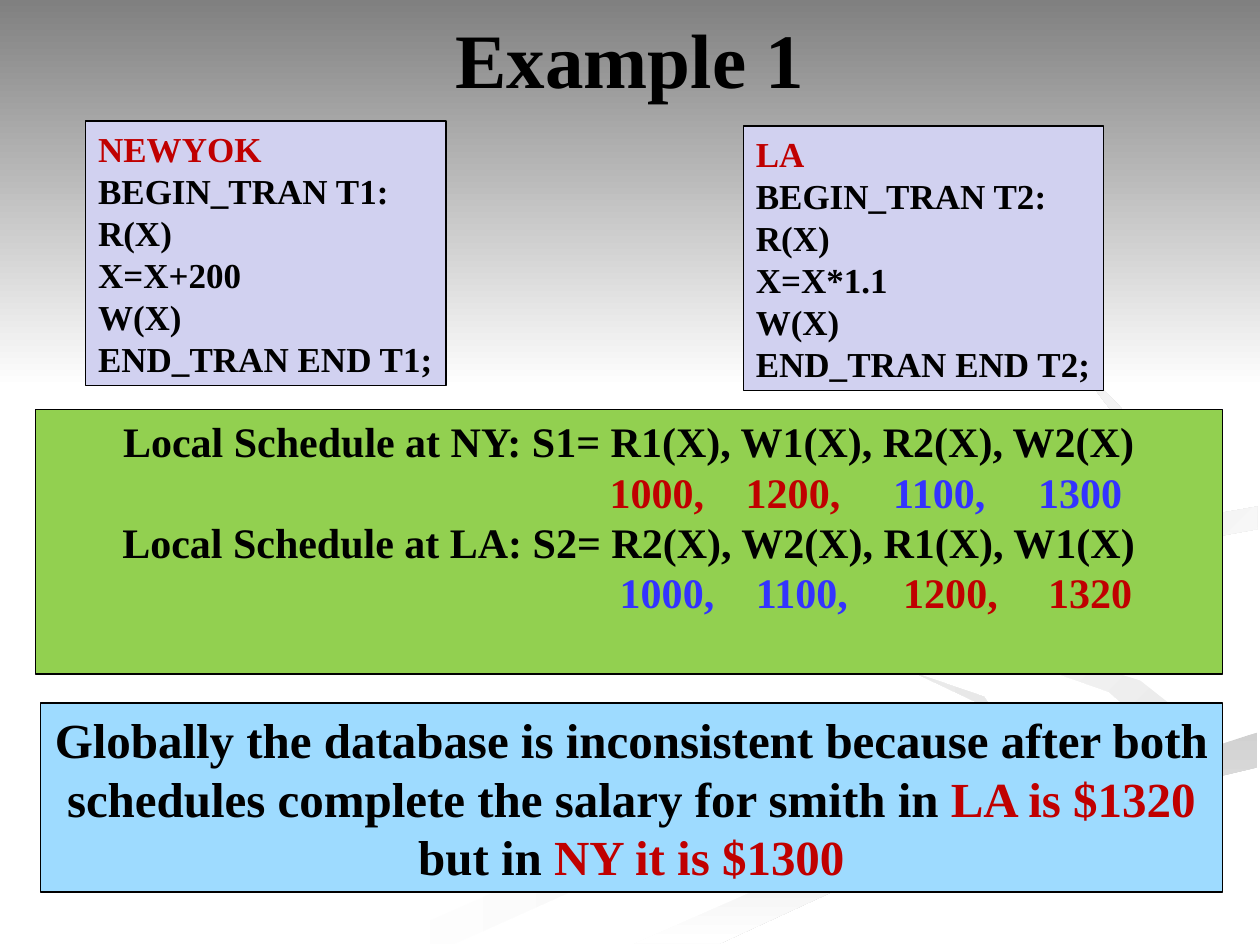
from lxml import etree
from pptx import Presentation
from pptx.dml.color import RGBColor
from pptx.enum import shapes, text
from pptx.oxml.ns import qn
from pptx.util import Inches, Pt

HUES = {"black": "000000", "red": "C00000", "blue": "3333FF", "white": "FFFFFF",
        "lilac": "D1D1F0", "green": "92D050", "sky": "9EDBFF", "gray": "808080",
        "mist": "E8E8E8", "ash": "D1D1D1", "fog": "E0E0E0", "haze": "D8D8D8"}
MID, LEFT = text.PP_ALIGN.CENTER, text.PP_ALIGN.LEFT

# Grid of 1000 columns by 750 rows
deck = Presentation()
deck.slide_width, deck.slide_height = Inches(10), Inches(7.5)
cell = deck.slide_width // 1000
slide = deck.slides.add_slide(deck.slide_layouts[6])


def paint(shape, tints, angle=0):
    shape.shadow.inherit = False
    if len(tints) == 1:
        shape.fill.solid()
        shape.fill.fore_color.rgb = RGBColor.from_string(HUES[tints[0]])
        return
    shape.fill.gradient()
    shape.fill.gradient_angle = -angle % 360
    for stop, tint in zip(shape.fill.gradient_stops, tints):
        stop.color.rgb = RGBColor.from_string(HUES[tint])


def write(shape, rows, size, align, anchor, wrap=True):
    frame = shape.text_frame
    frame.word_wrap, frame.vertical_anchor = wrap, anchor
    look = {"size": Pt(size), "bold": True, "name": "Times New Roman"}
    for i, row in enumerate(rows):
        para = frame.paragraphs[0] if i == 0 else frame.add_paragraph()
        para.alignment = align
        for words, hue in row:
            run = para.add_run()
            run.text = words
            for key, value in look.items():
                setattr(run.font, key, value)
            run.font.color.rgb = RGBColor.from_string(HUES[hue])


# Background ribbons: tints, gradient angle, outline
ribbons = [
    (("white", "mist"), 0, [
        (781, 553), (682, 519), (575, 459), (593, 491), (728, 535), (785, 562),
        (727, 602), (499, 661), (300, 749), (361, 749), (499, 687), (780, 605),
        (800, 581)]),
    (("white", "mist"), 45, [
        (943, 570), (905, 540), (758, 498), (724, 464), (755, 505), (880, 549),
        (917, 581), (894, 605), (941, 581)]),
    (("ash", "white"), 90, [
        (503, 749), (571, 749), (695, 692), (821, 651), (998, 609), (998, 581),
        (936, 602), (764, 647), (630, 693)]),
    (("white",), 0, [
        (725, 464), (745, 490), (905, 540), (943, 570), (902, 603), (663, 668),
        (477, 749), (503, 749), (630, 693), (832, 629), (999, 581), (999, 538),
        (848, 503), (781, 463), (822, 434), (999, 402), (999, 387), (788, 422)]),
    (("fog", "white"), 45, [
        (781, 460), (826, 496), (805, 472), (843, 448), (998, 420), (998, 402),
        (821, 433)]),
    (("haze", "white"), 45, [
        (683, 430), (825, 402), (889, 362), (890, 324), (843, 275), (762, 233),
        (846, 279), (889, 335), (861, 370), (676, 414), (580, 451), (622, 500),
        (596, 461)]),
    (("gray", "white"), 90, [(0, 0), (0, 308), (1000, 308), (1000, 0)]),
]
for tints, angle, dots in ribbons:
    pen = slide.shapes.build_freeform(*dots[0], scale=cell)
    pen.add_line_segments(dots[1:], close=True)
    curve = pen.convert_to_shape()
    paint(curve, tints, angle)
    curve.line.fill.background()

# Title
title = slide.shapes.add_textbox(*(n * cell for n in (50, -17, 900, 125)))
write(title, [[("Example 1", "black")]], 44, MID, text.MSO_ANCHOR.MIDDLE)

# Panels: place, fill, size, alignment, wrap, rows
panels = []
for site, num, step, x, y in [("NEWYOK", 1, "X=X+200", 68, 96),
                              ("LA", 2, "X=X*1.1", 590, 100)]:
    lines = [f"BEGIN_TRAN T{num}:", "R(X)", step, "W(X)", f"END_TRAN END T{num};"]
    rows = [[(site, "red")]] + [[(line, "black")] for line in lines]
    panels.append(((x, y, 286, 210), "lilac", 20, LEFT, False, rows))
panels += [
    ((28, 325, 942, 210), "green", 24, MID, True, [
        [("Local Schedule at NY: S1= R1(X), W1(X), R2(X), W2(X)", "black")],
        [("\t1000,\t1200,", "red"), ("\t1100,\t1300", "blue")],
        [("Local Schedule at LA: S2= R2(X), W2(X), R1(X), W1(X)", "black")],
        [("\t1000,\t1100,", "blue"), ("\t1200,\t1320", "red")]]),
    ((32, 558, 938, 150), "sky", 28, MID, True, [
        [("Globally the database is inconsistent because after both schedules "
          "complete the salary for smith in ", "black"),
         ("LA is $1320 ", "red"), ("but in ", "black"), ("NY it is $1300", "red")]]),
]
for place, fill, size, align, wrap, rows in panels:
    box = slide.shapes.add_shape(shapes.MSO_SHAPE.RECTANGLE, *(n * cell for n in place))
    paint(box, [fill])
    box.line.color.rgb = RGBColor.from_string(HUES["black"])
    box.line.width = Pt(0.75)
    write(box, rows, size, align, text.MSO_ANCHOR.TOP, wrap)

    # Salary values line up on tab stops under each operation
    for para in box.text_frame.paragraphs:
        if para.text.startswith("\t"):
            para.alignment = LEFT
            shift = 8 if para.text.endswith("1320") else 0
            tabs = etree.SubElement(para._p.get_or_add_pPr(), qn("a:tabLst"))
            for stop in (446, 554, 671, 786):
                etree.SubElement(tabs, qn("a:tab"), pos=str((stop + shift) * cell), algn="l")

deck.save("out.pptx")
